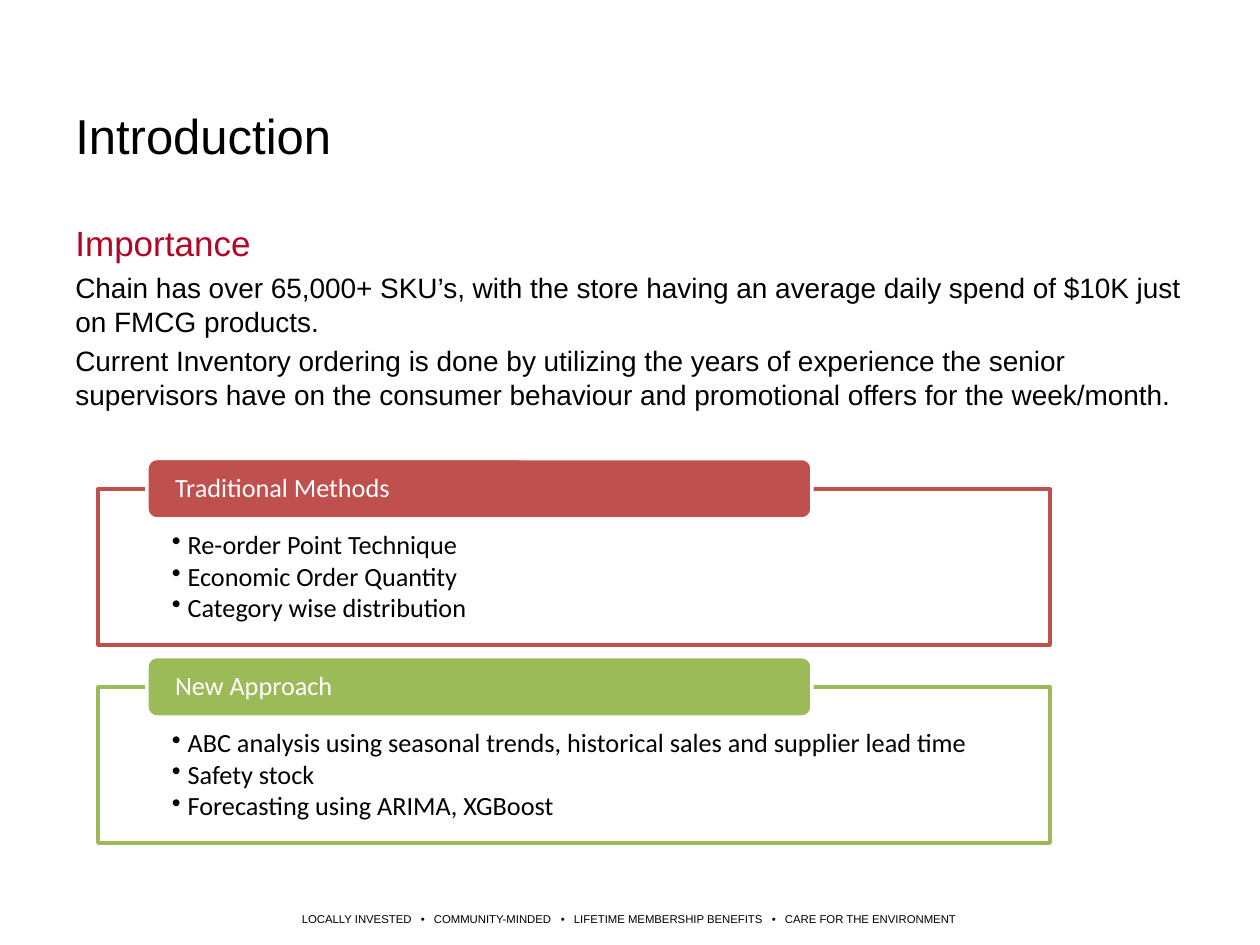
import pptx
import pptx.util
import pptx.dml.color
import pptx.enum.shapes
import pptx.enum.text
from lxml import etree

Pt = pptx.util.Pt
ANCHOR = pptx.enum.text.MSO_ANCHOR
KIND = pptx.enum.shapes.MSO_SHAPE
NS = "http://schemas.openxmlformats.org/drawingml/2006/main"

HUES = {"ink": "000000", "paper": "FFFFFF", "crimson": "B20626",
        "red": "C0504D", "green": "9BBB59"}

# text, size, colour, box (left, top, width, height)
TEXTS = [
    (["Introduction"], 28, "ink", (36, 57, 648, 55)),
    (["Importance"], 20, "crimson", (36, 123, 648, 27.5)),
    (["Chain has over 65,000+ SKU’s, with the store having an average daily "
      "spend of $10K just on FMCG products.",
      "Current Inventory ordering is done by utilizing the years of experience "
      "the senior supervisors have on the consumer behaviour and promotional "
      "offers for the week/month."], 16, "ink", (36, 151, 648, 126)),
]
GROUPS = [
    ("Traditional Methods", "red",
     ["Re-order Point Technique", "Economic Order Quantity",
      "Category wise distribution"]),
    ("New Approach", "green",
     ["ABC analysis using seasonal trends, historical sales and supplier lead time",
      "Safety stock", "Forecasting using ARIMA, XGBoost"]),
]
VALUES = ["LOCALLY INVESTED", "COMMUNITY-MINDED",
          "LIFETIME MEMBERSHIP BENEFITS", "CARE FOR THE ENVIRONMENT"]
DOTS = [69.2, 149.2, 269.8]  # centres of the dots between the values
DOT_GAP = 6.3                # dot centre to next value

TOP, STEP = 262, 113.25
FRAME = (56, 17.5, 544, 89)  # tops are measured from the group's top
TAB = (84, 0, 380, 34.5)


def rgb(name):
    return pptx.dml.color.RGBColor.from_string(HUES[name])


def style(para, face, size, hue):
    para.font.name, para.font.size = face, Pt(size)
    para.font.color.rgb = rgb(hue)


def inset(frame, left, top, right, bottom):
    frame.margin_left, frame.margin_top = Pt(left), Pt(top)
    frame.margin_right, frame.margin_bottom = Pt(right), Pt(bottom)


def write(frame, lines):
    """Put one line in each paragraph and return the paragraphs."""
    frame.text = "\n".join(lines)
    frame.word_wrap = True
    return frame.paragraphs


def add_box(slide, kind, spot, top, fill, line):
    left, down, width, height = spot
    box = slide.shapes.add_shape(kind, Pt(left), Pt(top + down),
                                 Pt(width), Pt(height))
    box.shadow.inherit = False
    box.fill.solid()
    box.fill.fore_color.rgb = rgb(fill)
    box.line.color.rgb = rgb(line)
    box.line.width = Pt(2)
    return box


def add_bullet(para):
    props = para._p.get_or_add_pPr()
    props.set("marL", str(Pt(9)))
    props.set("indent", str(-Pt(9)))
    etree.SubElement(props, f"{{{NS}}}buChar", char="•")


def add_group(slide, top, title, hue, items):
    frame = add_box(slide, KIND.RECTANGLE, FRAME, top, "paper", hue).text_frame
    frame.vertical_anchor = ANCHOR.TOP
    inset(frame, 42.2, 24.5, 42.2, 8.5)
    for para in write(frame, items):
        add_bullet(para)
        para.alignment = pptx.enum.text.PP_ALIGN.LEFT
        para.line_spacing = 0.9
        para.space_after = Pt(1.8)
        style(para, "Calibri", 15, "ink")

    head = add_box(slide, KIND.ROUNDED_RECTANGLE, TAB, top, hue, "paper").text_frame
    head.vertical_anchor = ANCHOR.MIDDLE
    inset(head, 14.4, 0, 14.4, 0)
    para = write(head, [title])[0]
    para.alignment = pptx.enum.text.PP_ALIGN.LEFT
    para.line_spacing = 0.9
    style(para, "Calibri", 15, "paper")


def add_footer(slide):
    box = slide.shapes.add_textbox(Pt(172.5), Pt(517), Pt(380), Pt(16))
    frame = box.text_frame
    inset(frame, 0, 0, 0, 0)
    frame.vertical_anchor = ANCHOR.MIDDLE
    para = write(frame, ["\t•\t".join(VALUES)])[0]
    stops = etree.SubElement(para._p.get_or_add_pPr(), f"{{{NS}}}tabLst")
    for dot in DOTS:
        for spot, side in ((dot, "ctr"), (dot + DOT_GAP, "l")):
            etree.SubElement(stops, f"{{{NS}}}tab", pos=str(Pt(spot)), algn=side)
    style(para, "Arial", 6.5, "ink")


def main():
    deck = pptx.Presentation()
    deck.slide_width, deck.slide_height = Pt(720), Pt(540)
    slide = deck.slides.add_slide(deck.slide_layouts[6])
    for lines, size, hue, spot in TEXTS:
        box = slide.shapes.add_textbox(*map(Pt, spot))
        for num, para in enumerate(write(box.text_frame, lines)):
            if num:
                para.space_before = Pt(3.5)
            style(para, "Arial", size, hue)
    for num, group in enumerate(GROUPS):
        add_group(slide, TOP + num * STEP, *group)
    add_footer(slide)
    deck.save("out.pptx")


if __name__ == "__main__":
    main()
